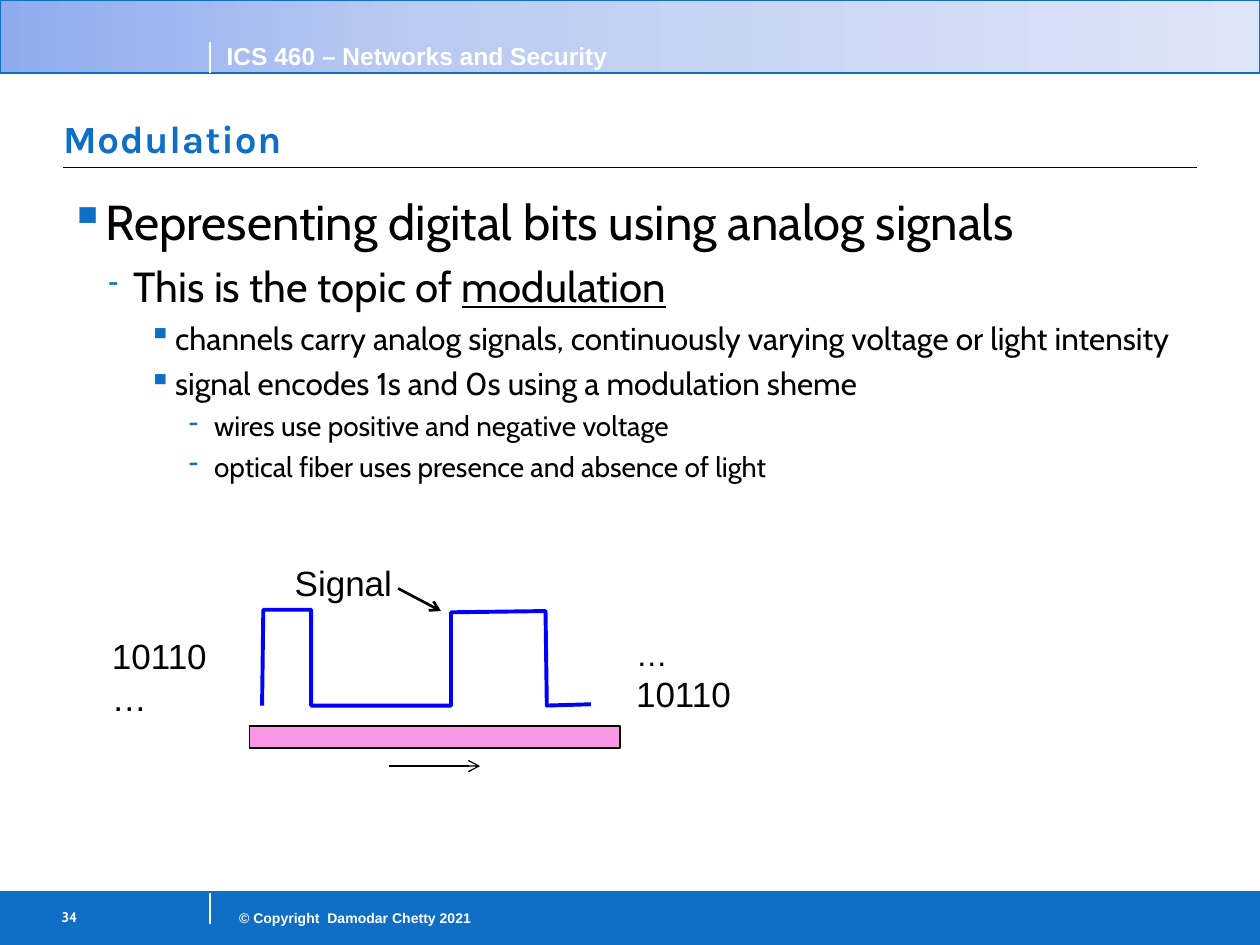
from copy import deepcopy

from lxml.etree import SubElement
from pptx import Presentation
from pptx.dml.color import RGBColor
from pptx.enum.shapes import MSO_CONNECTOR, MSO_SHAPE
from pptx.enum.text import MSO_ANCHOR, PP_ALIGN
from pptx.oxml.ns import qn
from pptx.util import Inches, Pt

COLORS = {name: RGBColor.from_string(value) for name, value in {
    "blue": "0F6FC6", "white": "FFFFFF", "black": "000000",
    "signal": "0000FF", "channel": "FA98E5",
    "fade_start": "8EABEE", "fade_mid": "BBCBF2", "fade_end": "DEE5F8",
}.items()}

prs = Presentation()
prs.slide_width, prs.slide_height = Inches(10), Inches(7.5)
s = prs.slides.add_slide(prs.slide_layouts[5])

# All places are on a grid of 100 columns by 100 rows
COL, ROW = prs.slide_width / 100, prs.slide_height / 100
GRID = (COL, ROW, COL, ROW)
HEADER_BOTTOM, FOOTER_TOP = 7.73, 94.4
DIVIDER_X, RULE_Y = 16.67, 17.73


def add_line(place, color, width, arrow=False):
    """Draw a straight line; place is x1, y1, x2, y2 in columns and rows."""
    ends = [round(v * unit) for v, unit in zip(place, GRID)]
    line = s.shapes.add_connector(MSO_CONNECTOR.STRAIGHT, *ends)
    line.line.color.rgb = COLORS[color]
    line.line.width = Pt(width)
    if arrow:
        SubElement(line.line._get_or_add_ln(), qn("a:tailEnd"), type="arrow")
    SubElement(line._element.spPr, qn("a:effectLst"))


def add_text(place, runs, color, font="Arial", bold=False, align=PP_ALIGN.LEFT):
    """Add a one-paragraph box; runs are (text, size) pairs."""
    box = s.shapes.add_textbox(*[round(v * unit) for v, unit in zip(place, GRID)])
    tf = box.text_frame
    tf.word_wrap = True
    p = tf.paragraphs[0]
    p.alignment = align
    for text, size in runs:
        r = p.add_run()
        r.text = text
        r.font.name, r.font.size, r.font.bold = font, Pt(size), bold
        r.font.color.rgb = COLORS[color]
    return tf


# Footer bar, header bar and the channel under the signal
bars = [
    ((0, FOOTER_TOP, 100, 100 - FOOTER_TOP), "blue", "blue", 0.75),
    ((0, 0, 100, HEADER_BOTTOM), None, "blue", 0.75),
    ((19.8, 76.8, 29.4, 2.4), "channel", "black", 1),
]
for place, fill, outline, width in bars:
    sp = s.shapes.add_shape(
        MSO_SHAPE.RECTANGLE, *[round(v * unit) for v, unit in zip(place, GRID)])
    sp.shadow.inherit = False
    sp.line.color.rgb = COLORS[outline]
    sp.line.width = Pt(width)
    if fill:
        sp.fill.solid()
        sp.fill.fore_color.rgb = COLORS[fill]
        continue
    sp.fill.gradient()
    sp.fill.gradient_angle = 0
    first = sp._element.spPr.find(".//" + qn("a:gs"))
    first.addnext(deepcopy(first))
    fade = [(0, "fade_start"), (0.34, "fade_mid"), (1, "fade_end")]
    for stop, (position, color) in zip(sp.fill.gradient_stops, fade):
        stop.position = position
        stop.color.rgb = COLORS[color]

# Rules and dividers
add_line((DIVIDER_X, 97.73, DIVIDER_X, FOOTER_TOP), "white", 0.75)
add_line((DIVIDER_X, HEADER_BOTTOM, DIVIDER_X, 4.4), "white", 0.75)
for y in (HEADER_BOTTOM, FOOTER_TOP):
    add_line((0, y, 100, y), "blue", 0.5)
add_line((5, RULE_Y, 95, RULE_Y), "black", 0.75)

# Header and footer wording
add_text((17, 3.73, 40.5, 4.53), [("ICS 460 – Networks and Security", 14)],
         "white", bold=True)
add_text((16.7, 95.6, 21.7, 3.2), [("© Copyright  Damodar Chetty 2021", 8)],
         "white", bold=True, align=PP_ALIGN.RIGHT)
tf = add_text((3.3, 95.2, 13.3, 4.67), [("34", 8)], "white", "Cabin", bold=True)
tf.margin_left, tf.margin_top = Inches(0.16), Inches(0.07)

# Title
title = s.shapes.title
title.left, title.top, title.width, title.height = [
    round(v * unit) for v, unit in zip((5, 8.13, 90, 9.6), GRID)]
tf = title.text_frame
tf.margin_left = tf.margin_right = 0
tf.vertical_anchor = MSO_ANCHOR.BOTTOM
p = tf.paragraphs[0]
p.alignment = PP_ALIGN.LEFT
r = p.add_run()
r.text = "Modulation"
r.font.name, r.font.size, r.font.bold = "Karla", Pt(22), True
r.font.color.rgb = COLORS["blue"]
r.font._element.set("spc", "50")

# Outline: per level the text size, left margin, hanging indent, bullet and its size
levels = [
    (28, 0.21, 0.21, "▪", 100),
    (24, 0.51, 0.2, "-", 70),
    (18, 0.84, 0.21, "▪", 100),
    (16, 1.15, 0.2, "-", 100),
]
outline = [
    (0, "Representing digital bits using analog signals", ""),
    (1, "This is the topic of ", "modulation"),
    (2, "channels carry analog signals, continuously varying voltage or light intensity", ""),
    (2, "signal encodes 1s and 0s using a modulation sheme", ""),
    (3, "wires use positive and negative voltage", ""),
    (3, "optical fiber uses presence and absence of light", ""),
]
body = s.shapes.add_textbox(
    *[round(v * unit) for v, unit in zip((5, 19.33, 90, 71.87), GRID)])
tf = body.text_frame
tf.word_wrap = True
tf.margin_left = tf.margin_right = Inches(0.05)
for i, (level, text, underlined) in enumerate(outline):
    size, margin, hanging, bullet, bullet_size = levels[level]
    p = tf.add_paragraph() if i else tf.paragraphs[0]
    p.level = level
    p.line_spacing = 1.04
    if i:
        p.space_before = Pt(size * 0.2)
    pPr = p._p.get_or_add_pPr()
    pPr.set("marL", str(Inches(margin)))
    pPr.set("indent", str(-Inches(hanging)))
    bullet_color = SubElement(pPr, qn("a:buClr"))
    SubElement(bullet_color, qn("a:srgbClr"), val=str(COLORS["blue"]))
    SubElement(pPr, qn("a:buSzPct"), val=str(bullet_size * 1000))
    SubElement(pPr, qn("a:buChar"), char=bullet)
    for part in filter(None, (text, underlined)):
        r = p.add_run()
        r.text = part
        r.font.name, r.font.size = "Cabin", Pt(size)
        r.font.color.rgb = COLORS["black"]
        if part == underlined:
            r.font.underline = True

# Signal diagram
add_text((49.5, 66.53, 10, 5.87), [("…", 18), ("10110", 20)], "black")
add_text((7.9, 66.53, 10, 5.87), [("10110…", 20)], "black")
add_text((22.4, 58.8, 9.8, 5.87), [("Signal", 20)], "black")
add_line((31.6, 62.27, 35, 64.67), "black", 1.5, arrow=True)
add_line((30.9, 81.07, 38.1, 81.07), "black", 0.75, arrow=True)

wave = [(46.9, 74.53), (43.4, 74.67), (43.3, 64.67), (35.8, 64.8), (35.8, 74.67),
        (24.7, 74.67), (24.7, 64.53), (20.9, 64.53), (20.8, 74.67)]
points = [(round(x * COL), round(y * ROW)) for x, y in wave]
builder = s.shapes.build_freeform(*points[0])
builder.add_line_segments(points[1:], close=False)
signal = builder.convert_to_shape()
signal.shadow.inherit = False
signal.fill.background()
signal.line.color.rgb = COLORS["signal"]
signal.line.width = Pt(2.25)

prs.save("out.pptx")
